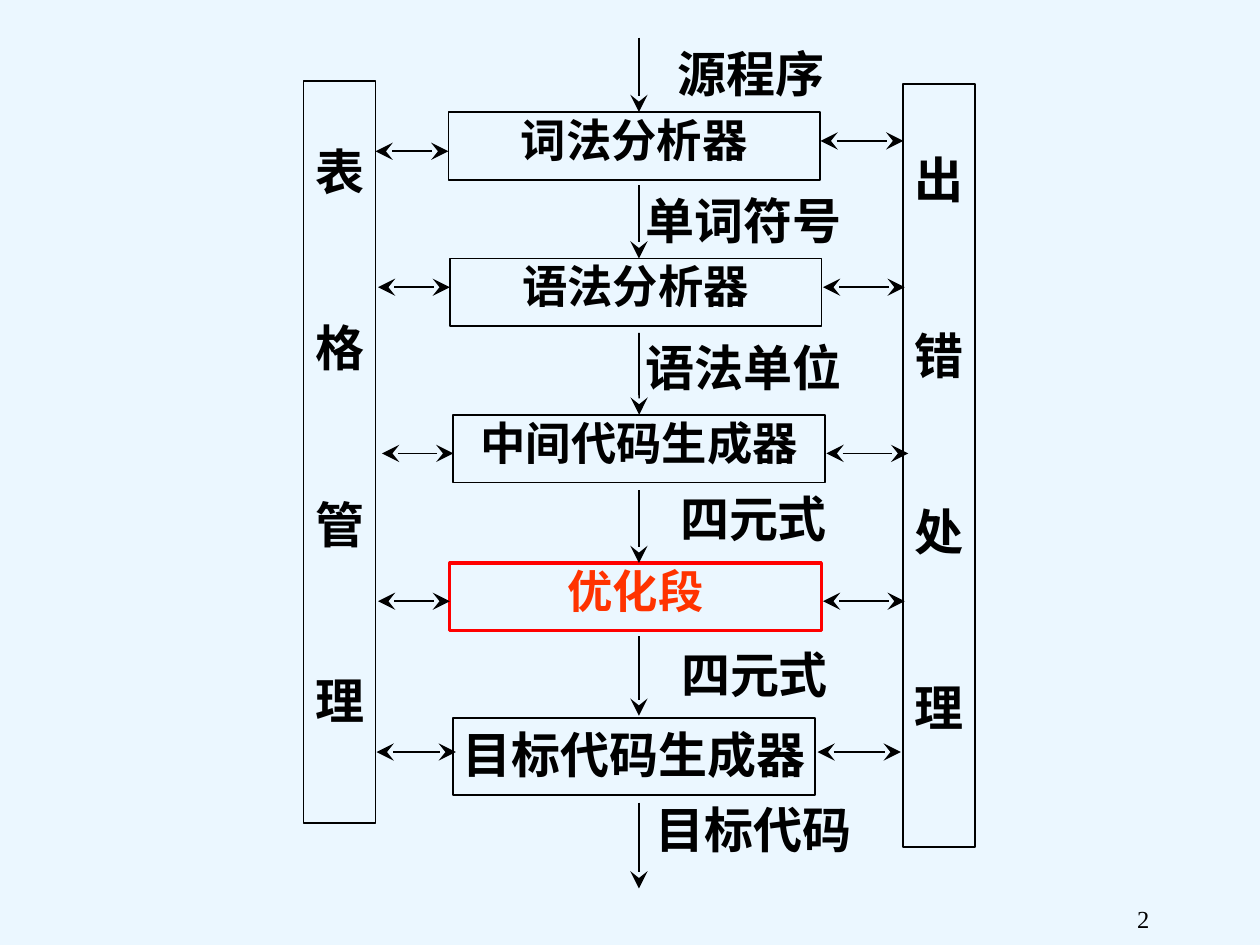
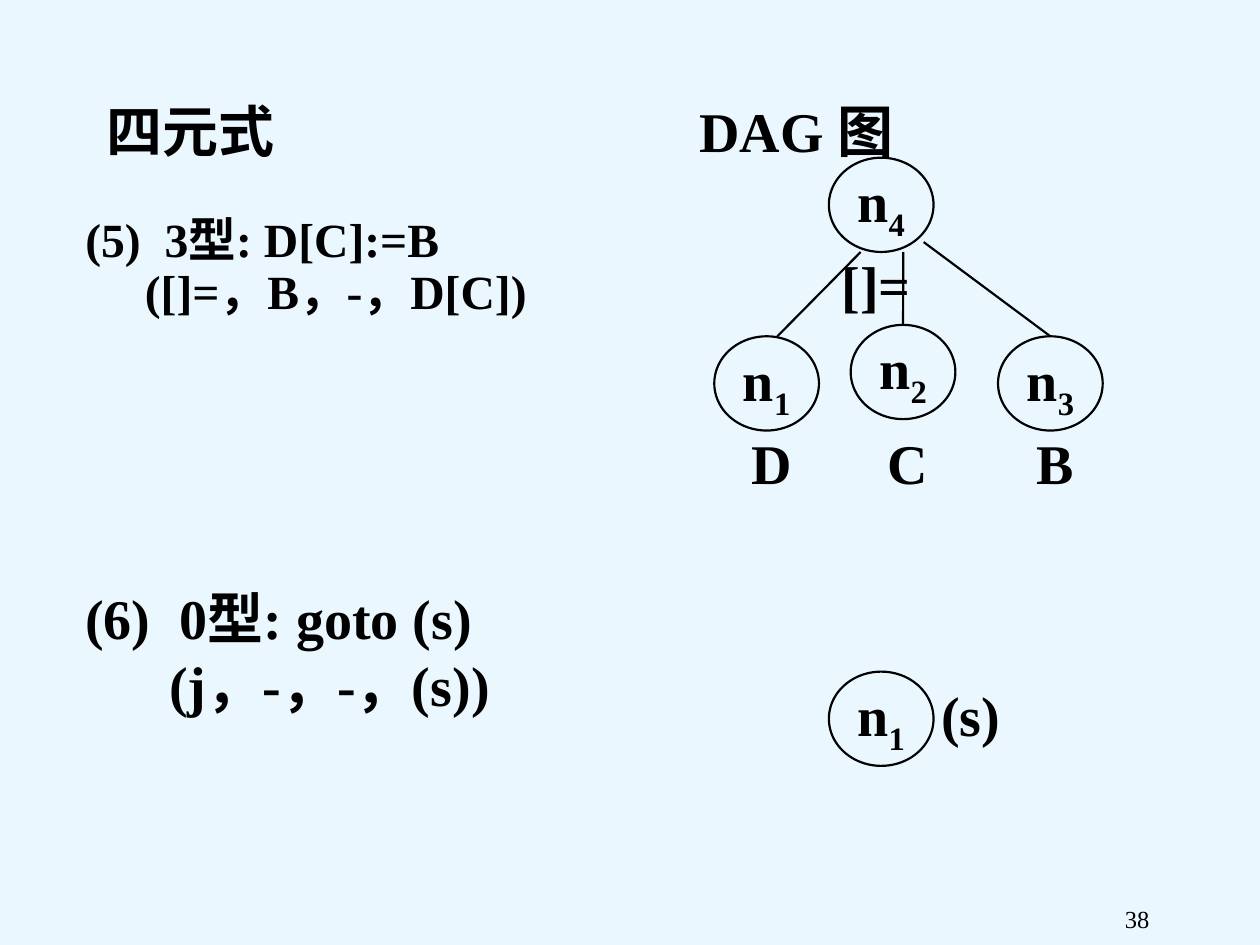
"""Builds two slides: the phases of a compiler, and DAG forms of quadruples."""
from dataclasses import dataclass
from typing import Optional

from lxml import etree
from pptx import Presentation
from pptx import util as u
from pptx.dml.color import RGBColor
from pptx.enum import shapes, text
from pptx.oxml import ns

COLORS = {"ground": "EBF7FF", "ink": "000000", "frame": "FF0000", "accent": "FF3300"}
SERIF, SANS = "Times New Roman", "Noto Sans CJK SC"
CENTER = text.PP_ALIGN.CENTER
AXIS = 12.88
STAGE_WIDTH, STAGE_HEIGHT = 7.49, 1.37
LABEL_WIDTH, LABEL_HEIGHT = 4.8, 0.97
NODE_WIDTH, NODE_HEIGHT = 2.11, 1.9
CAPTION_WIDTH, CAPTION_HEIGHT = 1.9, 1.7


@dataclass(frozen=True)
class Stage:
    name: str
    left: float
    top: float
    width: float = STAGE_WIDTH
    height: float = STAGE_HEIGHT
    font: str = SANS
    size: float = 25.9
    spacing: float = 0.9
    side_margin: float = 0.25
    frame: str = "ink"
    ink: str = "ink"
    weight: float = 1


@dataclass(frozen=True)
class Flow:
    label: str
    start: float
    end: float
    label_left: float
    label_top: float
    target: Optional[int] = None


@dataclass(frozen=True)
class Exchange:
    y: float
    start: float
    end: float


@dataclass(frozen=True)
class Column:
    letters: str
    left: float
    top: float
    height: float
    first_drop: float


@dataclass(frozen=True)
class Node:
    index: str
    left: float
    top: float


@dataclass(frozen=True)
class Caption:
    words: str
    left: float
    top: float


@dataclass(frozen=True)
class Quadruple:
    number: str
    statement: str
    form: str
    top: float
    width: float
    size: float
    spacing: float
    tab: float
    indent: float


STAGES = [
    Stage("词法分析器", 9.04, 2.26, font=SERIF),
    Stage("语法分析器", 9.07, 5.21, font=SERIF),
    Stage("中间代码生成器", 9.14, 8.36),
    Stage("优化段", 9.07, 11.35, frame="frame", ink="accent", weight=1.75),
    Stage("目标代码生成器", 9.14, 14.48, 7.29, 1.55, size=28, spacing=1, side_margin=0.05),
]
FLOWS = [
    Flow("源程序", 0.76, 2.26, 12.74, 0.99),
    Flow("单词符号", 3.73, 5.21, 12.59, 3.94),
    Flow("语法单位", 6.71, 8.36, 12.59, 6.91, target=2),
    Flow("四元式", 9.88, 11.35, 12.79, 9.95),
    Flow("四元式", 12.83, 14.43, 12.81, 13.11),
    Flow("目标代码", 16.18, 17.91, 12.79, 16.23),
]
EXCHANGES = [
    Exchange(3.05, 9.04, 7.57), Exchange(5.79, 9.07, 7.62), Exchange(9.14, 9.14, 7.7),
    Exchange(12.12, 9.07, 7.62), Exchange(15.16, 9.19, 7.59),
    Exchange(2.84, 16.54, 18.21), Exchange(5.79, 16.59, 18.24), Exchange(9.14, 16.66, 18.31),
    Exchange(12.12, 16.59, 18.24), Exchange(15.16, 16.48, 18.16),
]
COLUMNS = [
    Column("表格管理", 6.12, 1.63, 14.96, 1.23),
    Column("出错处理", 18.21, 1.7, 15.37, 1.31),
]
ROOT, LEAF_D, LEAF_C, LEAF_B = (
    Node("4", 16.71, 3.18), Node("1", 14.4, 6.78), Node("2", 17.15, 6.55), Node("3", 20.12, 6.78))
JUMP = Node("1", 16.71, 13.54)
CAPTIONS = [
    Caption("[]=", 16.71, 4.88), Caption("D", 14.61, 8.46), Caption("C", 17.35, 8.46),
    Caption("B", 20.32, 8.46), Caption("(s)", 18.62, 13.54),
]
QUADRUPLES = [
    Quadruple("(5)", "3型: D[C]:=B", "([]=，B，-，D[C])", 4.24, 11, 27.2, 0.9, 1.6, 1.2),
    Quadruple("(6)", "0型: goto (s)", "(j，-，-，(s))", 11.63, 11.43, 32, 1, 1.9, 1.69),
]


def rgb(name: str) -> RGBColor:
    return RGBColor.from_string(COLORS[name])


def style(paragraph, size: float, font: Optional[str] = SERIF, ink: str = "ink",
          bold: bool = True, align=None, spacing: float = 1) -> None:
    if align is not None:
        paragraph.alignment = align
    if spacing != 1:
        paragraph.line_spacing = spacing
    paragraph.font.size = u.Pt(size)
    paragraph.font.bold = bold
    paragraph.font.color.rgb = rgb(ink)
    if font:
        paragraph.font.name = font


def add_tab(paragraph, position: float) -> None:
    stops = etree.SubElement(paragraph._p.get_or_add_pPr(), ns.qn("a:tabLst"))
    etree.SubElement(stops, ns.qn("a:tab"), pos=str(int(u.Cm(position))), algn="l")


def add_words(slide, left: float, top: float, width: float, height: float,
              anchor=text.MSO_ANCHOR.TOP, wrap: bool = True):
    frame = slide.shapes.add_textbox(*map(u.Cm, (left, top, width, height))).text_frame
    frame.word_wrap = wrap
    frame.vertical_anchor = anchor
    return frame


def add_outline(slide, kind, left: float, top: float, width: float, height: float,
                weight: float, ink: str = "ink"):
    outline = slide.shapes.add_shape(kind, *map(u.Cm, (left, top, width, height)))
    outline.shadow.inherit = False
    outline.fill.background()
    outline.line.color.rgb = rgb(ink)
    outline.line.width = u.Pt(weight)
    return outline


def add_link(slide, x1: float, y1: float, x2: float, y2: float, weight: float = 1,
             ends: tuple = (), target=None) -> None:
    link = slide.shapes.add_connector(shapes.MSO_CONNECTOR.STRAIGHT, *map(u.Cm, (x1, y1, x2, y2)))
    if target is not None:
        link.end_connect(target, 0)
    link.line.color.rgb = rgb("ink")
    link.line.width = u.Pt(weight)
    for end in ends:
        etree.SubElement(link.line._get_or_add_ln(), ns.qn(f"a:{end}"), type="stealth",
                         w="lg", len="lg")
    etree.SubElement(link._element.spPr, ns.qn("a:effectLst"))


def add_centered(slide, words: str, left: float, top: float, width: float, height: float,
                 size: float) -> None:
    frame = add_words(slide, left, top, width, height, text.MSO_ANCHOR.MIDDLE, wrap=False)
    frame.text = words
    style(frame.paragraphs[0], size, align=CENTER)


def add_stage(slide, stage: Stage):
    box = add_outline(slide, shapes.MSO_SHAPE.RECTANGLE, stage.left, stage.top, stage.width,
                      stage.height, stage.weight, stage.frame)
    frame = box.text_frame
    frame.vertical_anchor = text.MSO_ANCHOR.TOP
    frame.margin_left = frame.margin_right = u.Cm(stage.side_margin)
    frame.word_wrap = True
    frame.text = stage.name
    style(frame.paragraphs[0], stage.size, stage.font, stage.ink, align=CENTER,
          spacing=stage.spacing)
    return box


def add_column(slide, column: Column) -> None:
    band = add_outline(slide, shapes.MSO_SHAPE.RECTANGLE, column.left, column.top, 1.45,
                       column.height, 1)
    frame = band.text_frame
    frame.vertical_anchor = text.MSO_ANCHOR.TOP
    frame.margin_left = frame.margin_right = 0
    frame.margin_top = u.Cm(column.first_drop)
    frame.text = "\n".join(column.letters)
    for position, paragraph in enumerate(frame.paragraphs):
        if position:
            paragraph.space_before = u.Pt(67)
        style(paragraph, 28, align=CENTER)


def add_node(slide, node: Node):
    circle = add_outline(slide, shapes.MSO_SHAPE.OVAL, node.left, node.top, NODE_WIDTH,
                         NODE_HEIGHT, 1.25)
    frame = circle.text_frame
    frame.word_wrap = False
    frame.vertical_anchor = text.MSO_ANCHOR.MIDDLE
    paragraph = frame.paragraphs[0]
    paragraph.add_run().text = "n"
    subscript = paragraph.add_run()
    subscript.text = node.index
    subscript._r.get_or_add_rPr().set("baseline", "-25000")
    style(paragraph, 32, align=CENTER)
    return circle


def add_quadruple(slide, quad: Quadruple) -> None:
    frame = add_words(slide, 1.47, quad.top, quad.width, 3.61)
    frame.text = f"{quad.number}\t{quad.statement}\n{quad.form}"
    heading, form = frame.paragraphs
    add_tab(heading, quad.tab)
    form._p.get_or_add_pPr().set("marL", str(int(u.Cm(quad.indent))))
    for paragraph in (heading, form):
        style(paragraph, quad.size, spacing=quad.spacing)


def add_heading(slide, quadruple_side: str, graph_side: str) -> None:
    paragraph = add_words(slide, 1.9, 1.83, 21.16, 1.9).paragraphs[0]
    add_tab(paragraph, 11.95)
    for words, font in ((f"{quadruple_side}\t", SANS), (graph_side, SERIF)):
        run = paragraph.add_run()
        run.text = words
        run.font.name = font
    style(paragraph, 32, font=None)


def add_page(deck, number: int):
    slide = deck.slides.add_slide(deck.slide_layouts[6])
    frame = add_words(slide, 18.14, 17.68, 5.28, 1.27, text.MSO_ANCHOR.BOTTOM)
    frame.text = str(number)
    style(frame.paragraphs[0], 14, bold=False, align=text.PP_ALIGN.RIGHT)
    return slide


def build_phases(deck) -> None:
    slide = add_page(deck, 2)
    boxes = [add_stage(slide, stage) for stage in STAGES]
    for column in COLUMNS:
        add_column(slide, column)
    for flow in FLOWS:
        add_centered(slide, flow.label, flow.label_left, flow.label_top, LABEL_WIDTH,
                     LABEL_HEIGHT, 28)
        target = None if flow.target is None else boxes[flow.target]
        add_link(slide, AXIS, flow.start, AXIS, flow.end, ends=("tailEnd",), target=target)
    for exchange in EXCHANGES:
        add_link(slide, exchange.start, exchange.y, exchange.end, exchange.y,
                 ends=("headEnd", "tailEnd"))


def build_graphs(deck) -> None:
    slide = add_page(deck, 38)
    add_heading(slide, "四元式", "DAG 图")
    for quad in QUADRUPLES:
        add_quadruple(slide, quad)
    for caption in CAPTIONS:
        add_centered(slide, caption.words, caption.left, caption.top, CAPTION_WIDTH,
                     CAPTION_HEIGHT, 32)
    _, _, leaf_c, leaf_b, _ = [
        add_node(slide, node) for node in (ROOT, LEAF_D, LEAF_C, LEAF_B, JUMP)]
    add_link(slide, 17.35, 5.08, 15.67, 6.78, 1.25)
    add_link(slide, 18.21, 5.08, 18.21, 6.55, 1.25, target=leaf_c)
    add_link(slide, 18.62, 4.88, 21.17, 6.78, 1.25, target=leaf_b)


def main() -> None:
    deck = Presentation()
    deck.slide_width, deck.slide_height = u.Cm(25.4), u.Cm(19.05)
    ground = deck.slide_master.background.fill
    ground.solid()
    ground.fore_color.rgb = rgb("ground")
    build_phases(deck)
    build_graphs(deck)
    deck.save("out.pptx")


if __name__ == "__main__":
    main()
